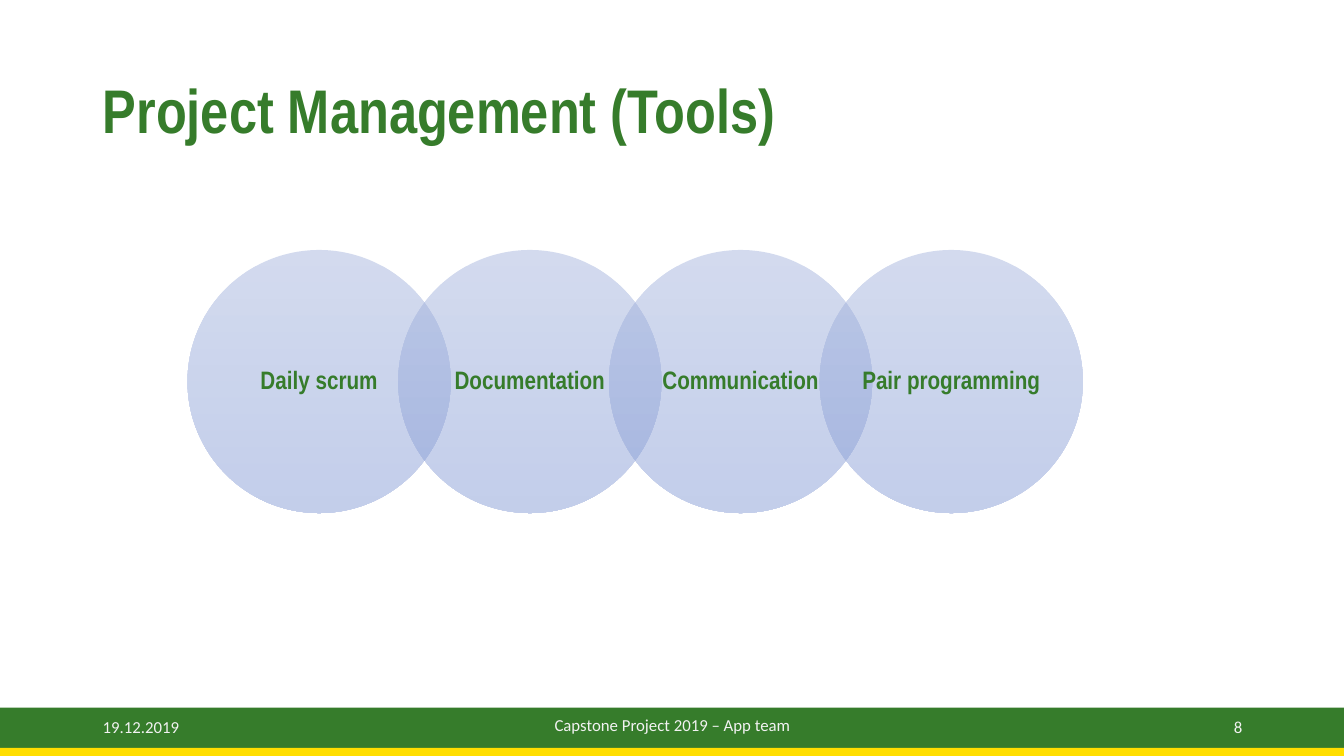
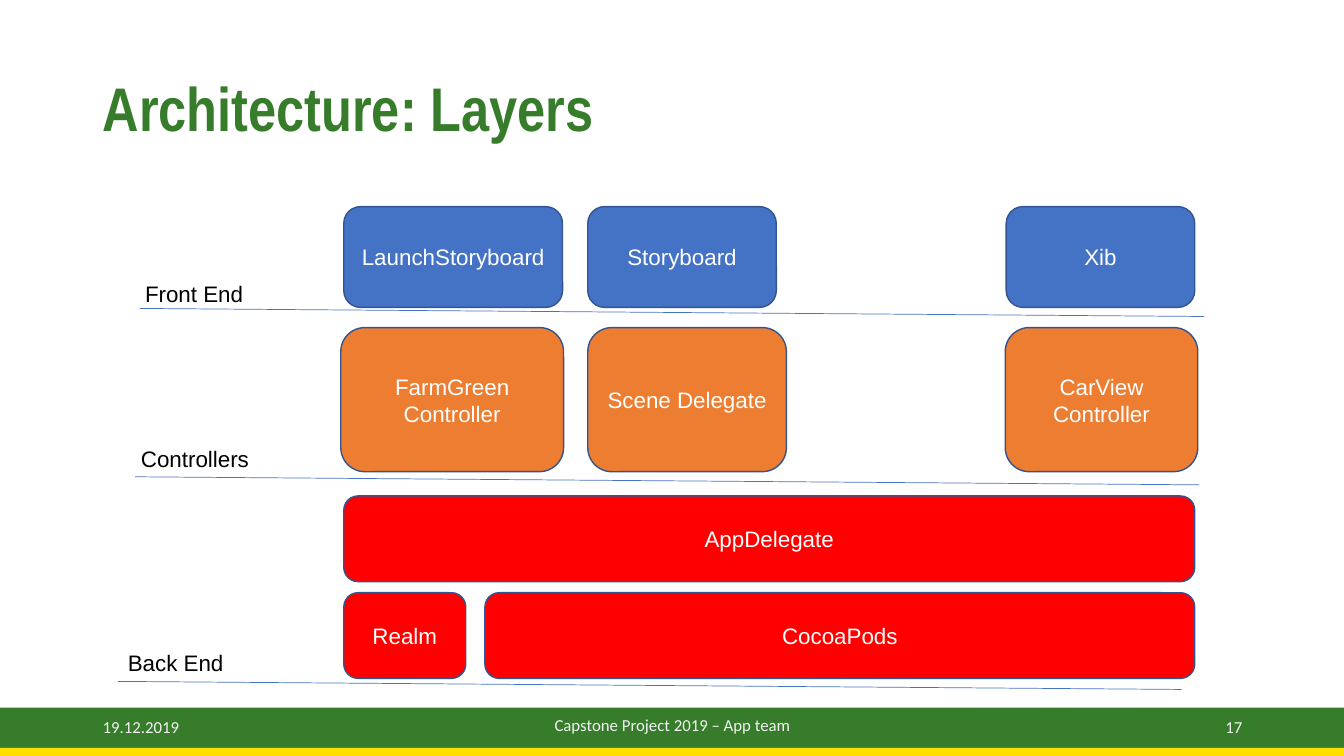
from lxml import etree
from pptx import Presentation
from pptx.dml.color import RGBColor
from pptx.enum.shapes import MSO_CONNECTOR, MSO_SHAPE
from pptx.enum.text import MSO_ANCHOR, MSO_AUTO_SIZE, PP_ALIGN
from pptx.oxml.ns import qn
from pptx.util import Inches, Pt

LEFT, MID, RIGHT = PP_ALIGN.LEFT, PP_ALIGN.CENTER, PP_ALIGN.RIGHT
TOP, CENTER = MSO_ANCHOR.TOP, MSO_ANCHOR.MIDDLE
RECT, ROUND, OVAL = MSO_SHAPE.RECTANGLE, MSO_SHAPE.ROUNDED_RECTANGLE, MSO_SHAPE.OVAL
STRAIGHT = MSO_CONNECTOR.STRAIGHT
FIXED = MSO_AUTO_SIZE.NONE

GREEN, YELLOW, PALE = "367C2B", "FFDE00", "F2F2F2"
BLUE, ORANGE, RED, EDGE = "4472C4", "ED7D31", "FF0000", "325491"
WHITE, BLACK = "FFFFFF", "000000"


def ink(code):
    return RGBColor.from_string(code)


def write(shape, text, size=16, font="Arial", color=BLACK, bold=False,
          align=LEFT, anchor=CENTER, space=1.0):
    frame = shape.text_frame
    frame.word_wrap = True
    frame.auto_size = FIXED
    frame.vertical_anchor = anchor
    frame.text = text
    para = frame.paragraphs[0]
    para.alignment = align
    para.line_spacing = space
    para.font.size = Pt(size)
    para.font.name = font
    para.font.bold = bold
    para.font.color.rgb = ink(color)


deck = Presentation()
deck.slide_width = Inches(13.33)
deck.slide_height = Inches(7.5)

slides = []
for name, top, page in [("Project Management (Tools)", 0.4, "8"),
                        ("Architecture: Layers", 0.38, "17")]:
    slide = deck.slides.add_slide(deck.slide_layouts[5])
    slides.append(slide)
    title = slide.shapes.title
    title.left, title.top = Inches(0.92), Inches(top)
    title.width, title.height = Inches(11.5), Inches(1.45)
    write(title, name, size=44, font="Arial Narrow", color=GREEN, bold=True, space=0.9)

    for y, high, color in [(7.02, 0.4, GREEN), (7.42, 0.08, YELLOW)]:
        band = slide.shapes.add_shape(RECT, 0, Inches(y), deck.slide_width, Inches(high))
        band.shadow.inherit = False
        band.fill.solid()
        band.fill.fore_color.rgb = ink(color)
        band.line.fill.background()

    for x, y, wide, text, align in [
        (0.92, 7.01, 3, "19.12.2019", LEFT),
        (4.42, 6.99, 4.5, "Capstone Project 2019 – App team", MID),
        (9.42, 7.01, 3, page, RIGHT),
    ]:
        foot = slide.shapes.add_textbox(Inches(x), Inches(y), Inches(wide), Inches(0.4))
        write(foot, text, size=12, font="Calibri", color=PALE, align=align)

tools, layers = slides

for i, text in enumerate(["Daily scrum", "Documentation", "Communication", "Pair programming"]):
    ring = tools.shapes.add_shape(OVAL, Inches(1.86 + 2.09 * i), Inches(2.48),
                                  Inches(2.61), Inches(2.61))
    ring.shadow.inherit = False
    ring.line.fill.background()
    ring.fill.gradient()
    ring.fill.gradient_angle = 270
    for stop, color, place in zip(ring.fill.gradient_stops, ["A8B7DF", "889ED7"], [0, 1]):
        stop.color.rgb = ink(color)
        stop.position = place
    for tint in ring._element.spPr.iter(qn("a:srgbClr")):
        etree.SubElement(tint, qn("a:alpha")).set("val", "50000")
    write(ring, text, size=18, font="Arial Narrow", color=GREEN, bold=True,
          align=MID, space=0.9)
    frame = ring.text_frame
    frame.margin_left = frame.margin_right = 0
    frame.margin_top = frame.margin_bottom = Inches(0.03)

for x, y, text, start, line in [
    (1.34, 2.73, "Front End", 1.39, 3.06),
    (1.3, 4.37, "Controllers", 1.34, 4.73),
    (1.17, 6.39, "Back End", 1.17, 6.76),
]:
    rule = layers.shapes.add_connector(STRAIGHT, Inches(start), Inches(line),
                                       Inches(start + 10.55), Inches(line + 0.08))
    rule.line.color.rgb = ink(BLUE)
    rule.line.width = Pt(0.5)
    etree.SubElement(rule._element.spPr, qn("a:effectLst"))
    label = layers.shapes.add_textbox(Inches(x), Inches(y), Inches(3), Inches(0.37))
    write(label, text, anchor=TOP)

rows = [
    (2.05, 1, BLUE, [(3.41, 2.17, "LaunchStoryboard"), (5.83, 1.87, "Storyboard"),
                     (9.98, 1.87, "Xib")]),
    (3.25, 1.43, ORANGE, [(3.38, 2.21, "FarmGreen Controller"),
                          (5.83, 1.97, "Scene Delegate"),
                          (9.97, 1.91, "CarView Controller")]),
    (4.92, 0.85, RED, [(3.41, 8.44, "AppDelegate")]),
    (5.88, 0.85, RED, [(3.41, 1.21, "Realm"), (4.81, 7.04, "CocoaPods")]),
]
for y, high, color, cells in rows:
    for x, wide, text in cells:
        block = layers.shapes.add_shape(ROUND, Inches(x), Inches(y), Inches(wide), Inches(high))
        block.shadow.inherit = False
        block.fill.solid()
        block.fill.fore_color.rgb = ink(color)
        block.line.color.rgb = ink(EDGE)
        block.line.width = Pt(1)
        write(block, text, color=WHITE, align=MID)

deck.save("out.pptx")
